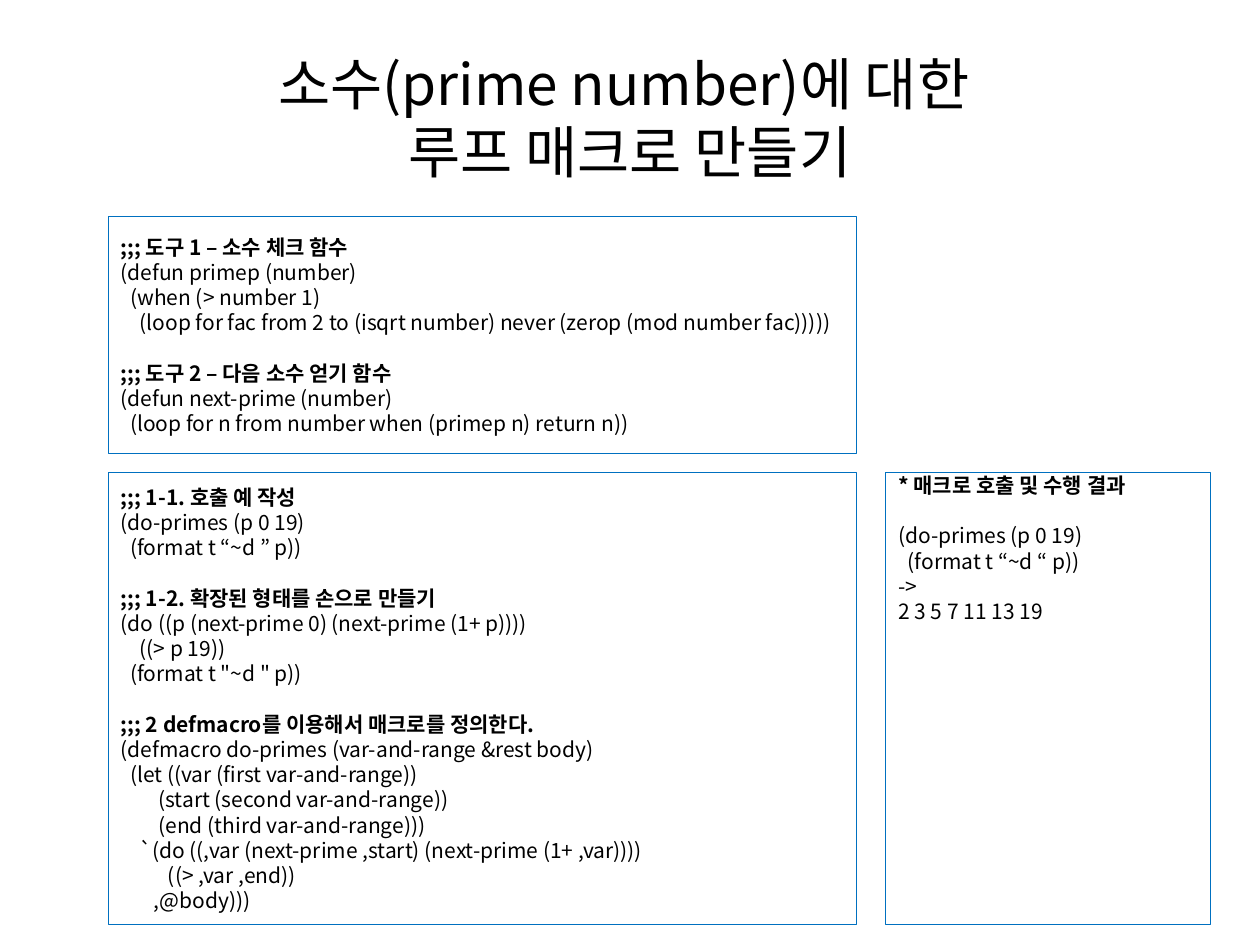
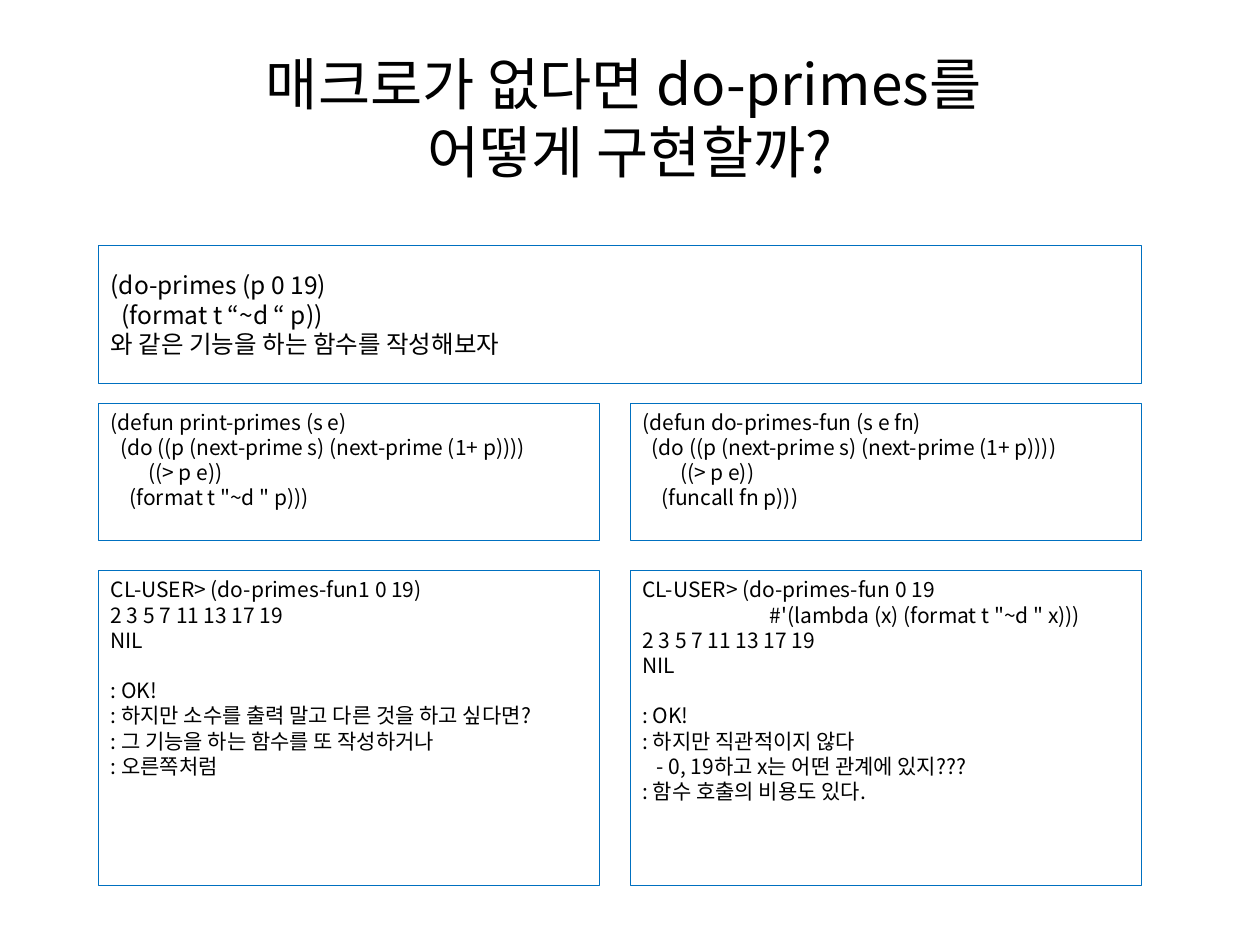
from lxml.etree import SubElement
from pptx import Presentation
from pptx.dml.color import RGBColor
from pptx.enum.shapes import MSO_SHAPE as Shape
from pptx.enum.text import MSO_ANCHOR as Anchor, PP_ALIGN as Align
from pptx.oxml.ns import qn
from pptx.util import Inches, Pt

COLORS = {"text": "000000", "border": "0070C0"}
FONT = "Noto Sans CJK KR"
LINE_HEIGHT = 1.2    # line pitch relative to the font size
SPACE_WIDTH = 0.225  # width of one space relative to the font size
HEADING_MARKS = (";;;", "*")


class Deck:
    """Holds the style, the presentation and the current slide."""

    def __init__(self):
        """Start a 10 by 7.5 inch presentation."""
        self.presentation = Presentation()
        self.presentation.slide_width = Inches(10)
        self.presentation.slide_height = Inches(7.5)
        self.slide = None

    def add_slide(self, title):
        """Start a blank slide with a centred title."""
        layout = self.presentation.slide_layouts[6]
        self.slide = self.presentation.slides.add_slide(layout)
        box = self.slide.shapes.add_textbox(
            Inches(0.5), Inches(0.3), Inches(9), Inches(1.25))
        frame = box.text_frame
        frame.word_wrap = True
        frame.vertical_anchor = Anchor.MIDDLE
        frame.text = title
        self.format(frame.paragraphs[0], 32.4, Align.CENTER)

    def format(self, paragraph, size, align=Align.LEFT, bold=False):
        """Give a paragraph and its runs the shared text style."""
        paragraph.alignment = align
        paragraph.line_spacing = Pt(size * LINE_HEIGHT)
        for run in paragraph.runs:
            run.font.name = FONT
            run.font.size = Pt(size)
            run.font.bold = bold
            run.font.color.rgb = RGBColor.from_string(COLORS["text"])
            SubElement(run.font._element, qn("a:ea"), typeface=FONT)

    def code_box(self, left, top, width, height, code, size=12, inset=None):
        """Draw a framed listing, centred vertically unless a top inset is given."""
        shape = self.slide.shapes.add_shape(
            Shape.RECTANGLE, Inches(left), Inches(top), Inches(width), Inches(height))
        shape.shadow.inherit = False
        shape.fill.background()
        shape.line.color.rgb = RGBColor.from_string(COLORS["border"])
        shape.line.width = Pt(0.5)
        frame = shape.text_frame
        frame.word_wrap = True
        frame.vertical_anchor = Anchor.MIDDLE if inset is None else Anchor.TOP
        if inset is not None:
            frame.margin_top = Inches(inset)
        self.fill_code(frame, code.strip("\n"), size)

    def fill_code(self, frame, code, size):
        """Turn leading spaces into indents and empty lines into spacing."""
        lines = code.split("\n")
        texts = [line.strip() for line in lines]
        frame.text = "\n".join(text for text in texts if text)
        paragraphs = iter(frame.paragraphs)
        gap = 0
        for line, text in zip(lines, texts):
            if not text:
                gap += size * LINE_HEIGHT
                continue
            paragraph = next(paragraphs)
            self.format(paragraph, size, bold=text.startswith(HEADING_MARKS))
            paragraph.space_before = Pt(gap)
            indent = (len(line) - len(line.lstrip())) * size * SPACE_WIDTH
            properties = paragraph._p.get_or_add_pPr()
            properties.set("marL", str(int(Pt(indent))))
            properties.set("indent", "0")
            gap = 0

    def save(self):
        """Write the presentation."""
        self.presentation.save("out.pptx")


TOOLS = """
;;; 도구 1 – 소수 체크 함수
(defun primep (number)
  (when (> number 1)
    (loop for fac from 2 to (isqrt number) never (zerop (mod number fac)))))

;;; 도구 2 – 다음 소수 얻기 함수
(defun next-prime (number)
  (loop for n from number when (primep n) return n))
"""

MACRO_STEPS = """
;;; 1-1. 호출 예 작성
(do-primes (p 0 19)
  (format t “~d ” p))

;;; 1-2. 확장된 형태를 손으로 만들기
(do ((p (next-prime 0) (next-prime (1+ p))))
    ((> p 19))
  (format t "~d " p))

;;; 2 defmacro를 이용해서 매크로를 정의한다.
(defmacro do-primes (var-and-range &rest body)
  (let ((var (first var-and-range))
        (start (second var-and-range))
        (end (third var-and-range)))
    `(do ((,var (next-prime ,start) (next-prime (1+ ,var))))
          ((> ,var ,end))
       ,@body)))
"""

MACRO_CALL = """
* 매크로 호출 및 수행 결과

(do-primes (p 0 19)
  (format t “~d “ p))
->
2 3 5 7 11 13 19
"""

GOAL = """
(do-primes (p 0 19)
  (format t “~d “ p))
와 같은 기능을 하는 함수를 작성해보자
"""

PRINT_FUNCTION = """
(defun print-primes (s e)
  (do ((p (next-prime s) (next-prime (1+ p))))
        ((> p e))
    (format t "~d " p)))
"""

CALLBACK_FUNCTION = """
(defun do-primes-fun (s e fn)
  (do ((p (next-prime s) (next-prime (1+ p))))
        ((> p e))
    (funcall fn p)))
"""

PRINT_RESULT = """
CL-USER> (do-primes-fun1 0 19)
2 3 5 7 11 13 17 19
NIL

: OK!
: 하지만 소수를 출력 말고 다른 것을 하고 싶다면?
: 그 기능을 하는 함수를 또 작성하거나
: 오른쪽처럼
"""

CALLBACK_RESULT = """
CL-USER> (do-primes-fun 0 19
                           #'(lambda (x) (format t "~d " x)))
2 3 5 7 11 13 17 19
NIL

: OK!
: 하지만 직관적이지 않다
   - 0, 19하고 x는 어떤 관계에 있지???
: 함수 호출의 비용도 있다.
"""


def macro_slide(deck):
    """Build the macro in steps, next to its result."""
    deck.add_slide("소수(prime number)에 대한 \v루프 매크로 만들기")
    deck.code_box(0.86, 1.72, 5.94, 1.88, TOOLS)
    deck.code_box(0.86, 3.75, 5.94, 3.59, MACRO_STEPS)
    deck.code_box(7.03, 3.75, 2.58, 3.59, MACRO_CALL, inset=0)


def function_slide(deck):
    """Compare two functions that do without the macro."""
    deck.add_slide("매크로가 없다면 do-primes를 \v어떻게 구현할까?")
    deck.code_box(0.78, 1.95, 8.28, 1.09, GOAL, size=14)
    columns = [(0.78, 3.98, PRINT_FUNCTION, PRINT_RESULT),
               (5, 4.06, CALLBACK_FUNCTION, CALLBACK_RESULT)]
    for left, width, function, result in columns:
        deck.code_box(left, 3.2, width, 1.09, function, inset=0.05)
        deck.code_box(left, 4.53, width, 2.5, result, inset=0.05)


deck = Deck()
macro_slide(deck)
function_slide(deck)
deck.save()
